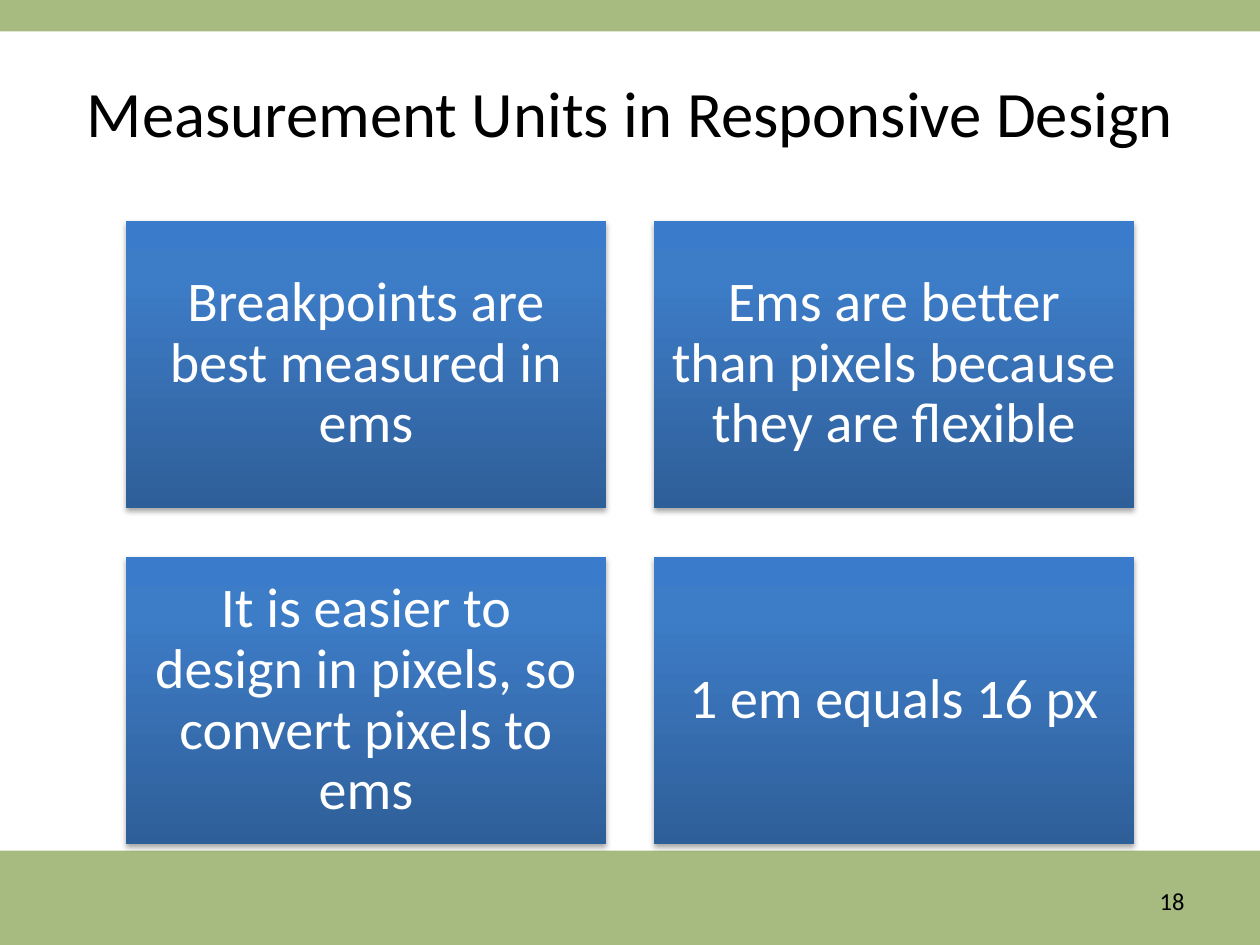
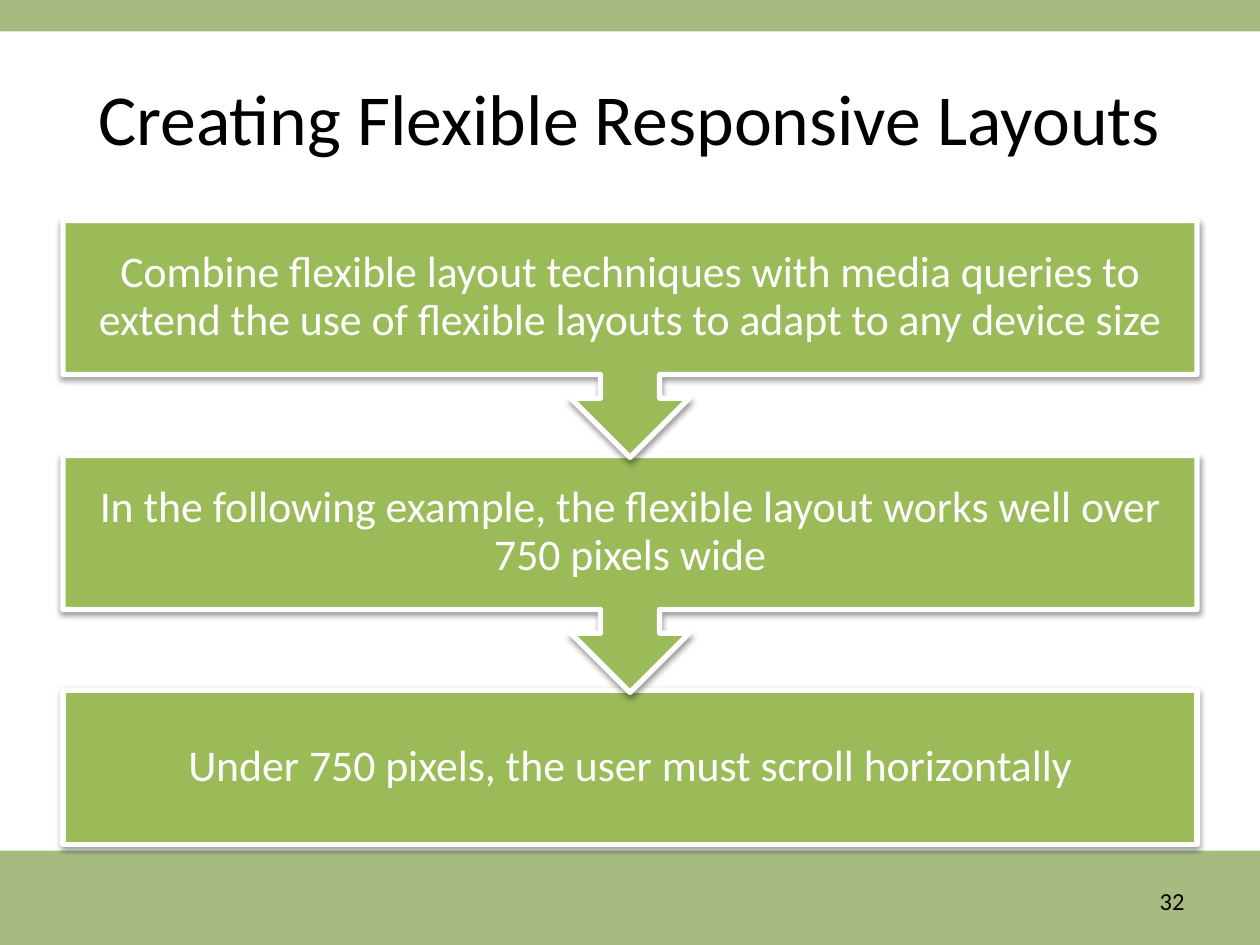
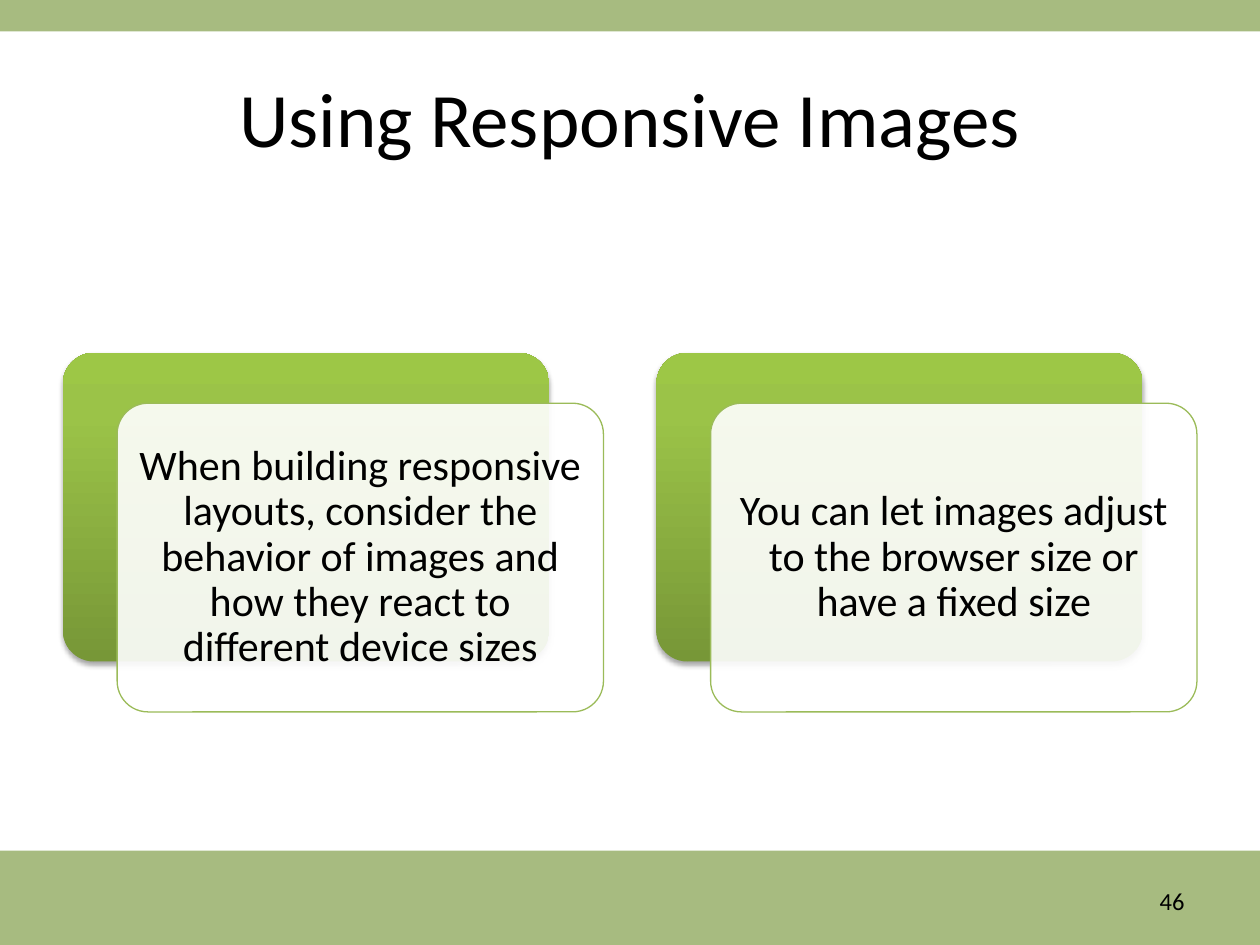
from lxml.etree import SubElement
from pptx import Presentation
from pptx.dml.color import RGBColor
from pptx.enum.shapes import MSO_SHAPE
from pptx.enum.text import MSO_ANCHOR, PP_ALIGN
from pptx.oxml.ns import qn
from pptx.util import Inches, Pt

FONT = "Calibri"
COLORS = {
    "band": "A7BB80",
    "black": "000000",
    "white": "FFFFFF",
    "green": "9BBB59",
}
# Gradient stops from bottom to top: position in percent, colour
BLUE_GRADIENT = [(0, "2F5F99"), (80, "3D7CC7"), (100, "3A7CCB")]
GREEN_GRADIENT = [(0, "779737"), (80, "9BC348"), (100, "9DC746")]


def color(name):
    return RGBColor.from_string(COLORS[name])


# Formatting
def set_gradient(shape, stops):
    shape.fill.gradient()
    shape.fill.gradient_angle = 90
    stop_list = shape.fill._xPr.find(".//" + qn("a:gsLst"))
    for stop in list(stop_list):
        stop_list.remove(stop)
    for position, hex_value in stops:
        stop = SubElement(stop_list, qn("a:gs"), pos=str(position * 1000))
        SubElement(stop, qn("a:srgbClr"), val=hex_value)


def set_shadow(shape, opacity, distance):
    """Add a soft shadow straight below the shape."""
    effects = shape._element.spPr.find(qn("a:effectLst"))
    shadow = SubElement(effects, qn("a:outerShdw"), blurRad=str(Pt(3.1)),
                        dist=str(Pt(distance)), dir="5400000", rotWithShape="0")
    shade = SubElement(shadow, qn("a:srgbClr"), val=COLORS["black"])
    SubElement(shade, qn("a:alpha"), val=str(opacity * 1000))


def set_opacity(shape, opacity):
    fill_color = shape.fill._xPr.find(qn("a:solidFill"))[0]
    SubElement(fill_color, qn("a:alpha"), val=str(opacity * 1000))


def write_text(shape, text, size, font_color, inset=None,
               alignment=PP_ALIGN.CENTER, line_spacing=0.9):
    frame = shape.text_frame
    frame.word_wrap = True
    frame.vertical_anchor = MSO_ANCHOR.MIDDLE
    if inset is not None:
        frame.margin_left = frame.margin_right = Inches(inset)
        frame.margin_top = frame.margin_bottom = Inches(inset)
    paragraph = frame.paragraphs[0]
    paragraph.text = text
    paragraph.alignment = alignment
    paragraph.line_spacing = line_spacing
    paragraph.font.name = FONT
    paragraph.font.size = Pt(size)
    paragraph.font.color.rgb = color(font_color)


# Elements
def add_box(slide, kind, left, top, width, height, fill=None, line=None, line_width=1):
    shape = slide.shapes.add_shape(kind, Inches(left), Inches(top),
                                   Inches(width), Inches(height))
    shape.shadow.inherit = False
    if fill:
        shape.fill.solid()
        shape.fill.fore_color.rgb = color(fill)
    if line:
        shape.line.color.rgb = color(line)
        shape.line.width = Pt(line_width)
    else:
        shape.line.fill.background()
    return shape


def add_text(slide, left, top, width, height, text, size, font_color, **options):
    box = slide.shapes.add_textbox(Inches(left), Inches(top),
                                   Inches(width), Inches(height))
    write_text(box, text, size, font_color, **options)


def add_base_slide(presentation, title, title_size, number, title_spacing=1.0):
    """Add a slide with both bands, its title and its number."""
    slide = presentation.slides.add_slide(presentation.slide_layouts[6])
    add_box(slide, MSO_SHAPE.RECTANGLE, 0, 6.75, 10, 0.75, "band")
    add_box(slide, MSO_SHAPE.RECTANGLE, 0, 0, 10, 0.25, "band")
    add_text(slide, 0.5, 0.3, 9, 1.25, title, title_size, "black",
             line_spacing=title_spacing)
    add_text(slide, 7.17, 6.95, 2.33, 0.4, str(number), 14, "black",
             alignment=PP_ALIGN.RIGHT, line_spacing=1.0)
    return slide


def add_tile_grid(slide, texts):
    for index, text in enumerate(texts):
        row, column = divmod(index, 2)
        tile = add_box(slide, MSO_SHAPE.RECTANGLE, 1 + column * 4.19,
                       1.75 + row * 2.67, 3.81, 2.28)
        set_gradient(tile, BLUE_GRADIENT)
        set_shadow(tile, 35, 1.8)
        write_text(tile, text, 32, "white", inset=0.13)


def add_step_flow(slide, steps):
    """Stack steps from the bottom up, so each arrow overlaps the next step."""
    first_top, last_top, body_height = 1.75, 5.48, 1.22
    last = len(steps) - 1
    pitch = (last_top - first_top) / last
    for index in range(last, -1, -1):
        top = first_top + index * pitch
        is_last = index == last
        kind = MSO_SHAPE.RECTANGLE if is_last else MSO_SHAPE.UP_ARROW_CALLOUT
        height = body_height if is_last else 1.88
        step = add_box(slide, kind, 0.5, top, 9, height, "green", "white", 3)
        set_shadow(step, 38, 1.6)
        if is_last:
            write_text(step, steps[index], 25, "white", inset=0.19)
        else:
            step.rotation = 180
            add_text(slide, 0.5, top, 9, body_height, steps[index], 25, "white",
                     inset=0.19)


def add_layered_cards(slide, texts):
    width, height = 3.86, 2.45
    for index, text in enumerate(texts):
        left, top = 0.5 + index * 4.71, 2.8
        back = add_box(slide, MSO_SHAPE.ROUNDED_RECTANGLE, left, top, width, height)
        set_gradient(back, GREEN_GRADIENT)
        set_shadow(back, 35, 1.8)
        front = add_box(slide, MSO_SHAPE.ROUNDED_RECTANGLE, left + 0.43, top + 0.4,
                        width, height, "white", "green", 0.75)
        set_opacity(front, 90)
        write_text(front, text, 24, "black", inset=0.1)
        for card in (back, front):
            card.adjustments[0] = 0.1


def main():
    presentation = Presentation()
    presentation.slide_width = Inches(10)
    presentation.slide_height = Inches(7.5)

    # Measurement units
    slide = add_base_slide(presentation, "Measurement Units in Responsive Design",
                           37, 18, title_spacing=0.9)
    add_tile_grid(slide, [
        "Breakpoints are best measured in ems",
        "Ems are better than pixels because they are flexible",
        "It is easier to design in pixels, so convert pixels to ems",
        "1 em equals 16 px",
    ])

    # Flexible layouts
    slide = add_base_slide(presentation, "Creating Flexible Responsive Layouts", 41, 32)
    add_step_flow(slide, [
        "Combine flexible layout techniques with media queries to extend the use of "
        "flexible layouts to adapt to any device size",
        "In the following example, the flexible layout works well over 750 pixels wide",
        "Under 750 pixels, the user must scroll horizontally",
    ])

    # Responsive images
    slide = add_base_slide(presentation, "Using Responsive Images", 44, 46)
    add_layered_cards(slide, [
        "When building responsive layouts, consider the behavior of images and how "
        "they react to different device sizes",
        "You can let images adjust to the browser size or have a fixed size",
    ])

    presentation.save("out.pptx")


if __name__ == "__main__":
    main()
